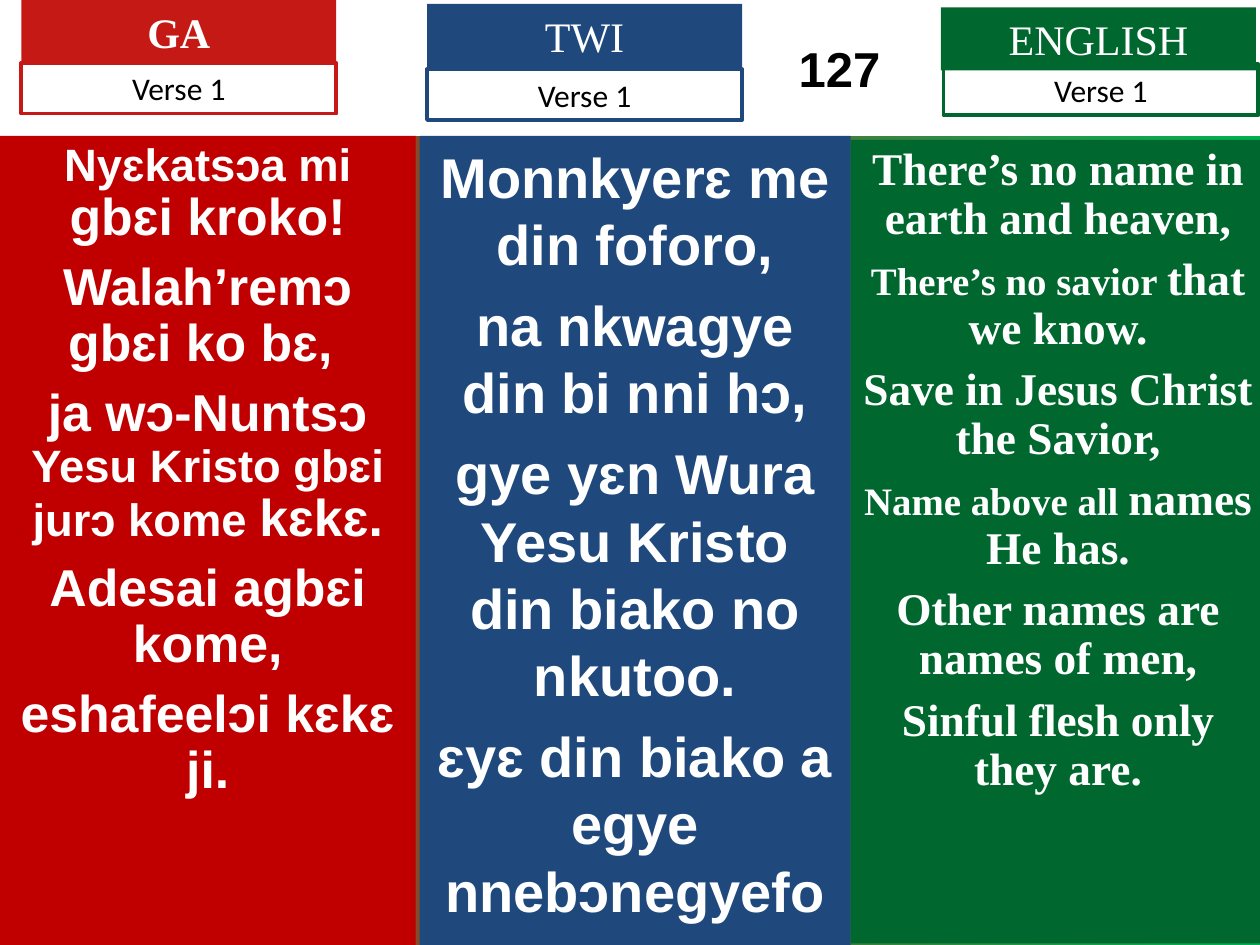
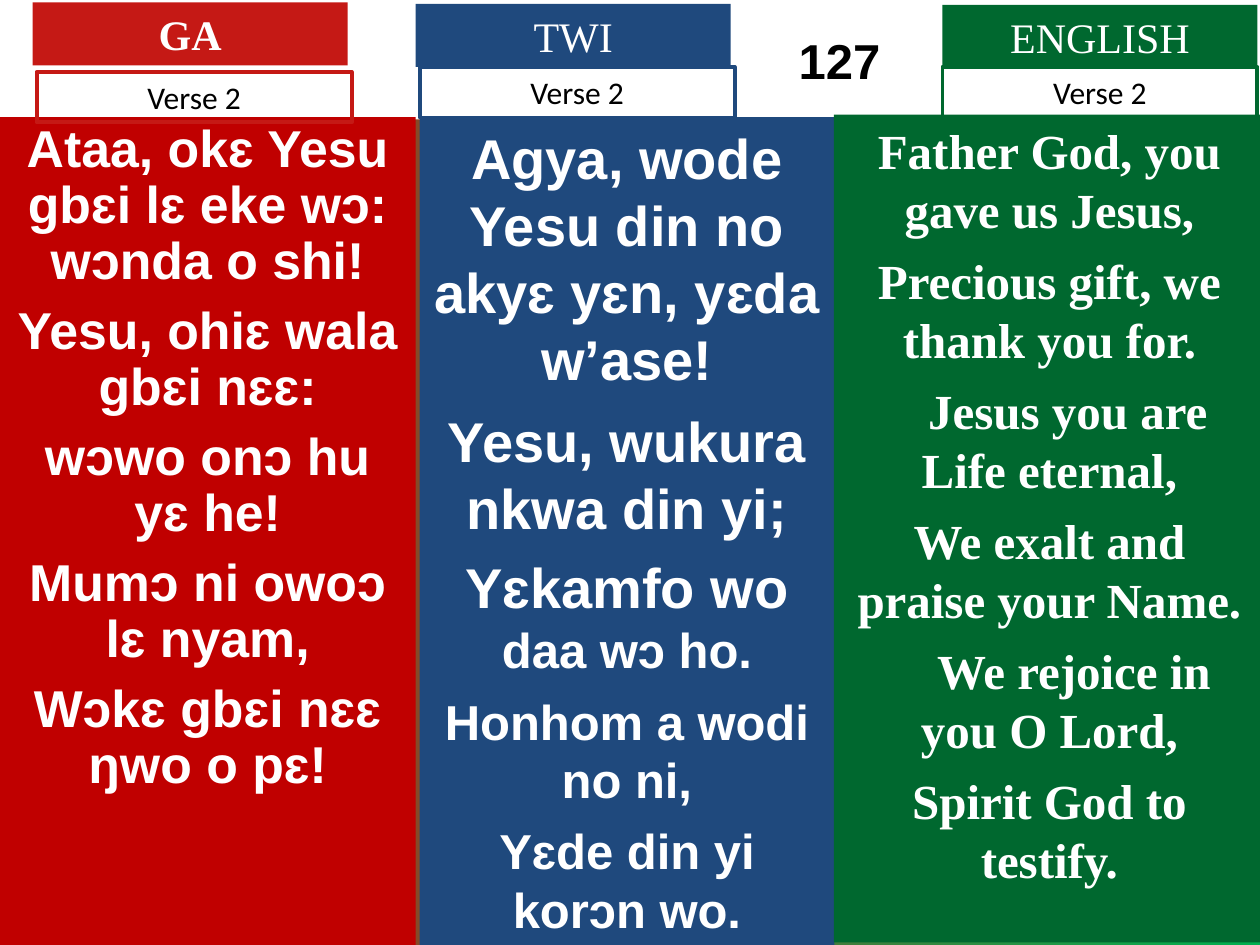
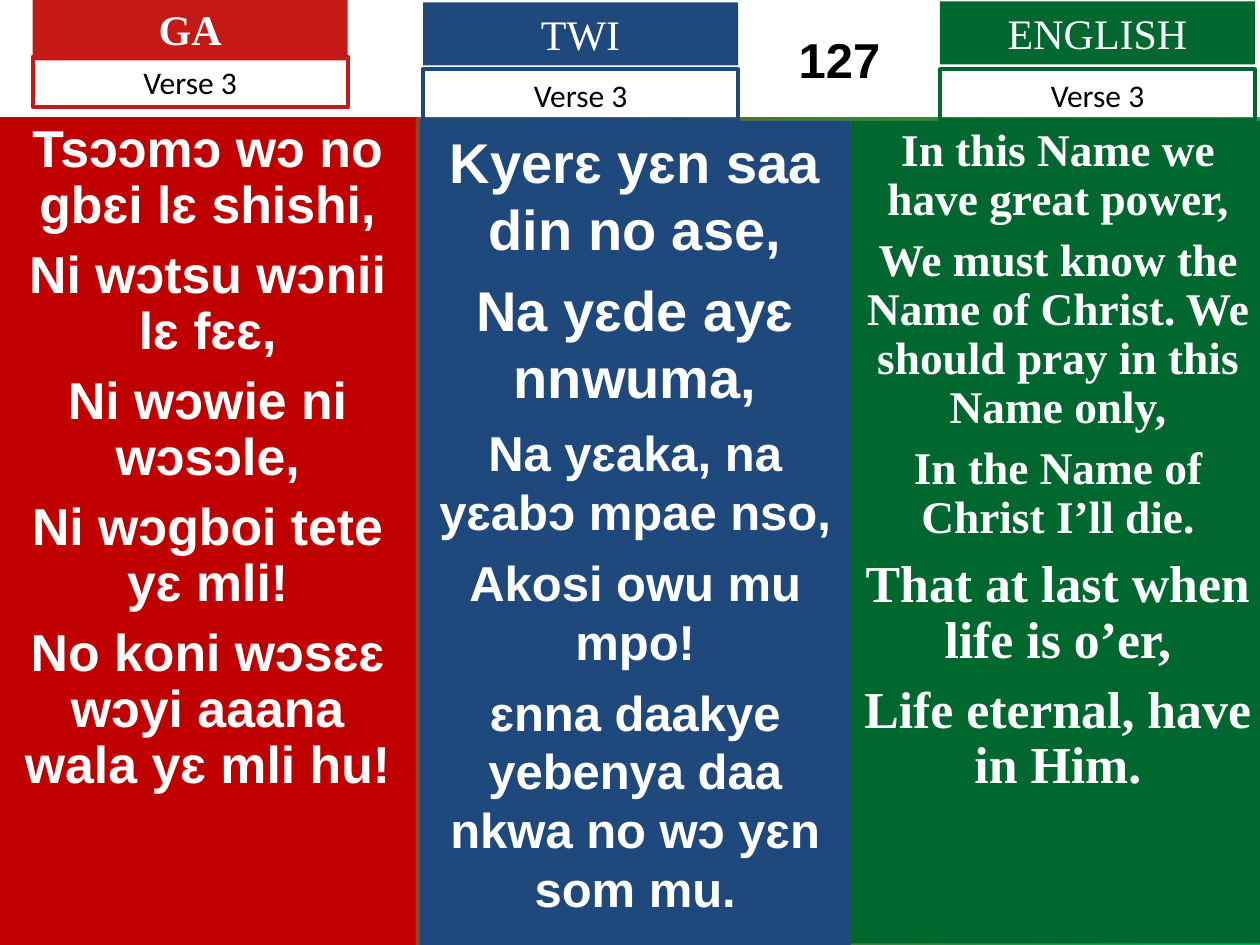
from dataclasses import dataclass

from pptx import Presentation, util as u
from pptx.dml.color import RGBColor
from pptx.enum import shapes, text


# Theme: colours, type sizes and shared measures (cm)
@dataclass(frozen=True)
class Theme:
    white: str = "FFFFFF"
    black: str = "000000"
    backdrop: tuple = ("C51915", "00B050")
    lyric_font: str = "Arial"
    english_font: str = "Times New Roman"
    verse_font: str = "Calibri"
    number_size: float = 28
    label_size: float = 24
    verse_size: float = 18
    large: float = 32
    medium: float = 28
    tight_large: float = 29.6
    tight_medium: float = 25.9
    tight_small: float = 22.2
    width: float = 25.4
    height: float = 19.05
    tab_width: float = 6.35
    label_height: float = 1.27
    verse_height: float = 1.02
    number_inset: float = 8.7

    def spacing(self, size):
        """Return line spacing and space before for a lyric line."""
        tight = size in (self.tight_large, self.tight_medium, self.tight_small)
        return (0.9 if tight else 1.0), u.Pt(8 if size > 29 else 7)


@dataclass(frozen=True)
class Language:
    name: str
    panel_color: str
    tab_color: str
    font: str
    bold_label: bool = False


@dataclass(frozen=True)
class Line:
    runs: tuple
    first_indent: float = 0


@dataclass(frozen=True)
class Column:
    language: Language
    panel: tuple    # left, top, width, bottom
    label: tuple    # left, top
    verse: tuple    # left, top
    size: float
    lyrics: list


THEME = Theme()
GA = Language("GA", "C00000", "C51915", THEME.lyric_font, True)
TWI = Language("TWI", "1F497D", "1F497D", THEME.lyric_font)
ENGLISH = Language("ENGLISH", "00682F", "00682F", THEME.english_font)
HYMN_NUMBER = "127"


class HymnDeck:
    def __init__(self, theme):
        self.theme = theme
        self.prs = Presentation()
        self.prs.slide_width = u.Cm(theme.width)
        self.prs.slide_height = u.Cm(theme.height)
        self.slide = None

    def new_slide(self):
        self.slide = self.prs.slides.add_slide(self.prs.slide_layouts[6])
        fill = self.slide.background.fill
        fill.gradient()
        fill.gradient_angle = 0
        for stop, color in zip(fill.gradient_stops, self.theme.backdrop):
            stop.color.rgb = RGBColor.from_string(color)

    def box(self, left, top, width, height, fill=None, line=None):
        shape = self.slide.shapes.add_shape(
            shapes.MSO_SHAPE.RECTANGLE,
            u.Cm(left), u.Cm(top), u.Cm(width), u.Cm(height))
        shape.shadow.inherit = False
        if fill:
            shape.fill.solid()
            shape.fill.fore_color.rgb = RGBColor.from_string(fill)
        else:
            shape.fill.background()
        if line:
            shape.line.color.rgb = RGBColor.from_string(line)
            shape.line.width = u.Pt(2.25)
        else:
            shape.line.fill.background()
        frame = shape.text_frame
        frame.word_wrap = True
        frame.vertical_anchor = text.MSO_ANCHOR.TOP
        return frame

    def style(self, font, name, size, color, bold=False):
        font.name, font.size, font.bold = name, u.Pt(size), bold
        font.color.rgb = RGBColor.from_string(color)

    def caption(self, frame, words, *font_style):
        frame.text = words
        paragraph = frame.paragraphs[0]
        paragraph.alignment = text.PP_ALIGN.CENTER
        self.style(paragraph.runs[0].font, *font_style)

    def number_band(self, height):
        t = self.theme
        band = self.box(0, 0, t.width, height, fill=t.white)
        band.vertical_anchor = text.MSO_ANCHOR.MIDDLE
        band.margin_left = u.Cm(t.number_inset)
        self.caption(band, HYMN_NUMBER, t.lyric_font, t.number_size, t.black, True)

    def label(self, language, left, top):
        t = self.theme
        frame = self.box(left, top, t.tab_width, t.label_height, fill=language.tab_color)
        self.caption(frame, language.name, t.english_font, t.label_size, t.white,
                     language.bold_label)

    def verse(self, language, number, left, top):
        t = self.theme
        frame = self.box(left, top, t.tab_width, t.verse_height, line=language.tab_color)
        self.caption(frame, f"Verse {number}", t.verse_font, t.verse_size, t.black)

    def lyrics(self, column):
        left, top, width, bottom = column.panel
        language = column.language
        frame = self.box(left, top, width, bottom - top, fill=language.panel_color)
        for index, entry in enumerate(column.lyrics):
            line = entry if isinstance(entry, Line) else Line(((entry, column.size),))
            paragraph = frame.add_paragraph() if index else frame.paragraphs[0]
            paragraph.alignment = text.PP_ALIGN.CENTER
            paragraph.line_spacing, before = self.theme.spacing(line.runs[-1][1])
            if index:
                paragraph.space_before = before
            if line.first_indent:
                paragraph._p.get_or_add_pPr().set("indent", str(u.Cm(line.first_indent)))
            for words, size in line.runs:
                run = paragraph.add_run()
                run.text = words
                self.style(run.font, language.font, size, self.theme.white, True)

    def hymn_slide(self, number, band_height, columns):
        self.new_slide()
        self.number_band(band_height)
        for column in columns:
            self.lyrics(column)
            self.label(column.language, *column.label)
            self.verse(column.language, number, *column.verse)


# Content: band height and the three language columns of each verse
T = THEME
VERSES = [
    (2.74, [
        Column(GA, (0, 2.74, 8.38, 19.05), (0.43, 0), (0.43, 1.27), T.tight_large, [
            Line((("Nyɛkatsɔa mi ", T.tight_medium), ("gbɛi kroko!", T.tight_large))),
            "Walah’remɔ gbɛi ko bɛ, ",
            Line((("ja wɔ-Nuntsɔ ", T.tight_large),
                  ("Yesu Kristo gbɛi jurɔ kome ", T.tight_medium),
                  ("kɛkɛ.", T.tight_large))),
            "Adesai agbɛi kome,",
            "eshafeelɔi kɛkɛ ji.",
        ]),
        Column(TWI, (8.46, 2.74, 8.69, 19.05), (8.61, 0.08), (8.61, 1.4), T.large, [
            "Monnkyerɛ me din foforo,",
            "na nkwagye din bi nni hɔ,",
            "gye yɛn Wura Yesu Kristo din biako no nkutoo.",
            "ɛyɛ din biako a egye nnebɔnegyefo",
        ]),
        Column(ENGLISH, (17.15, 2.82, 8.36, 19.02), (18.97, 0.15), (19.02, 1.3),
               T.tight_medium, [
            "There’s no name in earth and heaven,",
            Line((("There’s no savior ", T.tight_small),
                  ("that we know.", T.tight_medium))),
            "Save in Jesus Christ the Savior,",
            Line((("Name above all ", T.tight_small), ("names He has.", T.tight_medium))),
            "Other names are names of men,",
            "Sinful flesh only they are.",
        ]),
    ]),
    (2.41, [
        Column(GA, (0, 2.36, 8.38, 19.05), (0.66, 0.05), (0.74, 1.45), T.tight_large, [
            "Ataa, okɛ Yesu gbɛi lɛ eke wɔ: wɔnda o shi!",
            "Yesu, ohiɛ wala gbɛi nɛɛ:",
            "wɔwo onɔ hu yɛ he!",
            "Mumɔ ni owoɔ lɛ nyam,",
            "Wɔkɛ gbɛi nɛɛ ŋwo o pɛ!",
        ]),
        Column(TWI, (8.46, 2.36, 8.36, 19.05), (8.38, 0.08), (8.46, 1.35), T.medium, [
            Line((("Agya, wode Yesu din no akyɛ yɛn, yɛda w’ase!", T.large),)),
            Line((("Yesu, wukura nkwa din yi;", T.large),)),
            Line((("Yɛkamfo wo ", T.large), ("daa wɔ ho.", T.medium))),
            "Honhom a wodi no ni,",
            "Yɛde din yi korɔn wo.",
        ]),
        Column(ENGLISH, (16.81, 2.31, 8.69, 19), (19, 0.1), (19, 1.35), T.medium, [
            "Father God, you gave us Jesus,",
            "Precious gift, we thank you for.",
            Line((("Jesus you are Life eternal,", T.medium),), 0.74),
            "We exalt and praise your Name.",
            Line((("We rejoice in you O Lord,", T.medium),), 0.99),
            "Spirit God to testify.",
        ]),
    ]),
    (2.36, [
        Column(GA, (0, 2.36, 8.38, 19.05), (0.66, -0.05), (0.66, 1.14), T.tight_large, [
            "Tsɔɔmɔ wɔ no gbɛi lɛ shishi,",
            "Ni wɔtsu wɔnii lɛ fɛɛ,",
            "Ni wɔwie ni wɔsɔle,",
            "Ni wɔgboi tete yɛ mli!",
            "No koni wɔsɛɛ wɔyi aaana wala yɛ mli hu!",
        ]),
        Column(TWI, (8.46, 2.44, 8.69, 19.05), (8.53, 0.05), (8.53, 1.4), T.medium, [
            Line((("Kyerɛ yɛn saa din no ase,", T.large),)),
            Line((("Na yɛde ayɛ nnwuma,", T.large),)),
            "Na yɛaka, na yɛabɔ mpae nso,",
            "Akosi owu mu mpo!",
            "ɛnna daakye yebenya daa nkwa no wɔ yɛn som mu.",
        ]),
        Column(ENGLISH, (17.15, 2.44, 8.36, 19.02), (18.95, 0.03), (18.95, 1.4),
               T.tight_medium, [
            "In this Name we have great power,",
            "We must know the Name of Christ. We should pray in this Name only,",
            "In the Name of Christ I’ll die.",
            Line((("That at last when life is o’er,", T.tight_large),)),
            Line((("Life eternal, have in Him.", T.tight_large),)),
        ]),
    ]),
]


def main():
    deck = HymnDeck(THEME)
    for number, (band_height, columns) in enumerate(VERSES, start=1):
        deck.hymn_slide(number, band_height, columns)
    deck.prs.save("out.pptx")


if __name__ == "__main__":
    main()
